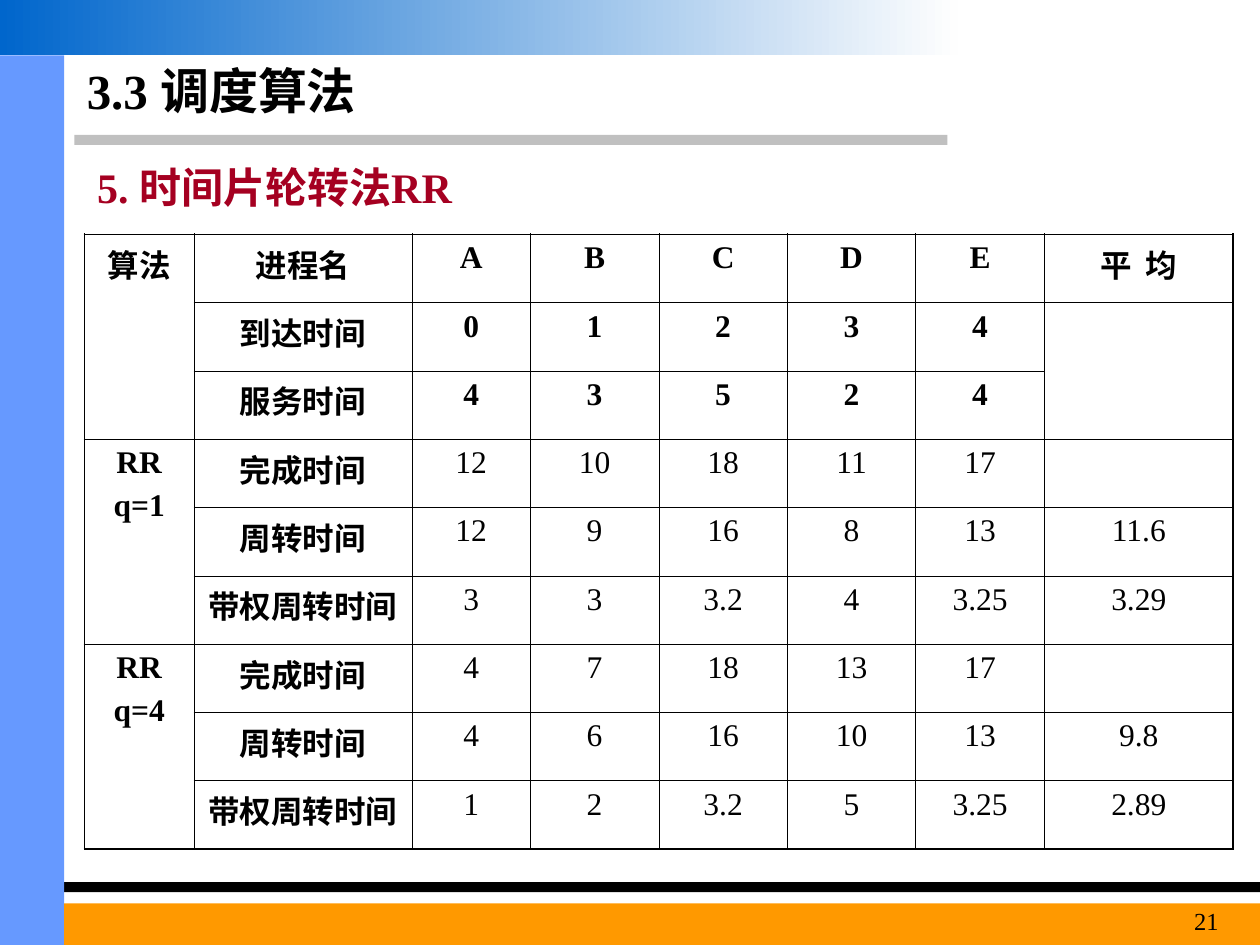
from pptx import Presentation
from pptx.dml.color import RGBColor
from pptx.enum.shapes import MSO_SHAPE
from pptx.enum.text import MSO_ANCHOR, PP_ALIGN
from pptx.oxml import parse_xml
from pptx.oxml.ns import nsdecls
from pptx.util import Inches, Pt

BLACK = RGBColor(0x00, 0x00, 0x00)
GRAY = RGBColor(0xC0, 0xC0, 0xC0)
SIDE_BLUE = RGBColor(0x66, 0x99, 0xFF)
ORANGE = RGBColor(0xFF, 0x99, 0x00)
DEEP_BLUE = RGBColor(0x00, 0x66, 0xCC)
NEAR_WHITE = RGBColor(0xFE, 0xFE, 0xFE)
CRIMSON = RGBColor(0xA5, 0x00, 0x21)

THIN, THICK = 0.45, 1.08
COLUMN_WIDTHS = [0.87, 1.73, 0.94, 1.02, 1.02, 1.02, 1.02, 1.5]
ROW_HEIGHT = 4.88 / 9
HEADER_ROWS = 3
LABEL_COLUMNS = 2
ROWS = [
    ["算法", "进程名", "A", "B", "C", "D", "E", "平  均"],
    ["", "到达时间", "0", "1", "2", "3", "4", ""],
    ["", "服务时间", "4", "3", "5", "2", "4", ""],
    ["RR\nq=1", "完成时间", "12", "10", "18", "11", "17", ""],
    ["", "周转时间", "12", "9", "16", "8", "13", "11.6"],
    ["", "带权周转时间", "3", "3", "3.2", "4", "3.25", "3.29"],
    ["RR\nq=4", "完成时间", "4", "7", "18", "13", "17", ""],
    ["", "周转时间", "4", "6", "16", "10", "13", "9.8"],
    ["", "带权周转时间", "1", "2", "3.2", "5", "3.25", "2.89"],
]
# First row, last row and column of each merged block
MERGES = [(0, 2, 0), (3, 5, 0), (6, 8, 0), (1, 2, 7)]


def write_text(frame, text, size=18, color=BLACK, bold=False,
               align=PP_ALIGN.LEFT, space_before=0):
    """Fill a text frame with one paragraph per line of text."""
    for index, line in enumerate(text.split("\n")):
        paragraph = frame.paragraphs[0] if index == 0 else frame.add_paragraph()
        paragraph.alignment = align
        paragraph.space_before = Pt(space_before)
        run = paragraph.add_run()
        run.text = line
        run.font.name = SlideBuilder.font
        run.font.size = Pt(size)
        run.font.bold = bold
        run.font.color.rgb = color


def set_borders(cell, widths):
    """Draw black cell edges; widths maps L, R, T and B to points."""
    properties = cell._tc.get_or_add_tcPr()
    for index, (side, width) in enumerate(widths.items()):
        properties.insert(index, parse_xml(
            f'<a:ln{side} {nsdecls("a")} w="{Pt(width)}"><a:solidFill>'
            f'<a:srgbClr val="{BLACK}"/></a:solidFill></a:ln{side}>'))


class SlideBuilder:
    """Hold the style and the current slide."""

    font = "Times New Roman"

    def __init__(self, presentation):
        """Add a blank slide."""
        self.slide = presentation.slides.add_slide(presentation.slide_layouts[6])

    def bar(self, left, top, width, height, color):
        """Add a plain rectangle without outline."""
        shape = self.slide.shapes.add_shape(
            MSO_SHAPE.RECTANGLE, Inches(left), Inches(top), Inches(width), Inches(height))
        shape.shadow.inherit = False
        shape.line.fill.background()
        shape.fill.solid()
        shape.fill.fore_color.rgb = color
        return shape

    def gradient_bar(self, left, top, width, height, start, end):
        """Add a rectangle that blends from start at the right to end at the left."""
        fill = self.bar(left, top, width, height, start).fill
        fill.gradient()
        fill.gradient_angle = 180
        for stop, color in zip(fill.gradient_stops, (start, end)):
            stop.color.rgb = color

    def text(self, left, top, width, height, text, anchor=MSO_ANCHOR.TOP, **style):
        """Add a wrapping text box."""
        box = self.slide.shapes.add_textbox(
            Inches(left), Inches(top), Inches(width), Inches(height))
        box.text_frame.word_wrap = True
        box.text_frame.vertical_anchor = anchor
        write_text(box.text_frame, text, **style)

    def table(self, left, top, rows, column_widths, row_height, merges):
        """Add a ruled table with a thicker outer frame."""
        row_count, column_count = len(rows), len(column_widths)
        frame = self.slide.shapes.add_table(
            row_count, column_count, Inches(left), Inches(top),
            Inches(sum(column_widths)), Inches(row_height * row_count))
        table = frame.table
        table.first_row = table.horz_banding = False
        for column, width in zip(table.columns, column_widths):
            column.width = Inches(width)
        for row in table.rows:
            row.height = Inches(row_height)
        for first, last, column in merges:
            table.cell(first, column).merge(table.cell(last, column))
        for r, values in enumerate(rows):
            for c, value in enumerate(values):
                cell = table.cell(r, c)
                cell.fill.background()
                bottom = r + (cell.span_height if cell.is_merge_origin else 1)
                set_borders(cell, {
                    "L": THICK if c == 0 else THIN,
                    "R": THICK if c == column_count - 1 else THIN,
                    "T": THICK if r == 0 else THIN,
                    "B": THICK if bottom == row_count else THIN,
                })
                if value:
                    write_text(cell.text_frame, value, align=PP_ALIGN.CENTER,
                               bold=r < HEADER_ROWS or c < LABEL_COLUMNS,
                               space_before=4.5)


def main():
    """Build and save the slide."""
    presentation = Presentation()
    presentation.slide_width, presentation.slide_height = Inches(10), Inches(7.5)
    builder = SlideBuilder(presentation)
    builder.bar(0.59, 1.07, 6.93, 0.08, GRAY)
    builder.bar(0, 7, 10, 0.08, BLACK)
    builder.bar(0, 0.44, 0.51, 7.06, SIDE_BLUE)
    builder.bar(0.51, 7.17, 9.49, 0.33, ORANGE)
    builder.gradient_bar(0, 0, 7.6, 0.44, NEAR_WHITE, DEEP_BLUE)
    builder.text(0.59, 0.44, 6.85, 0.55, "3.3 调度算法",
                 anchor=MSO_ANCHOR.MIDDLE, size=28, bold=True)
    builder.text(0.59, 1.23, 7.95, 0.5, " 5. 时间片轮转法RR",
                 size=24, bold=True, color=CRIMSON, space_before=15)
    builder.table(0.67, 1.86, ROWS, COLUMN_WIDTHS, ROW_HEIGHT, MERGES)
    builder.text(8.86, 7.14, 0.91, 0.36, "21", size=14, align=PP_ALIGN.RIGHT)
    presentation.save("out.pptx")


main()
